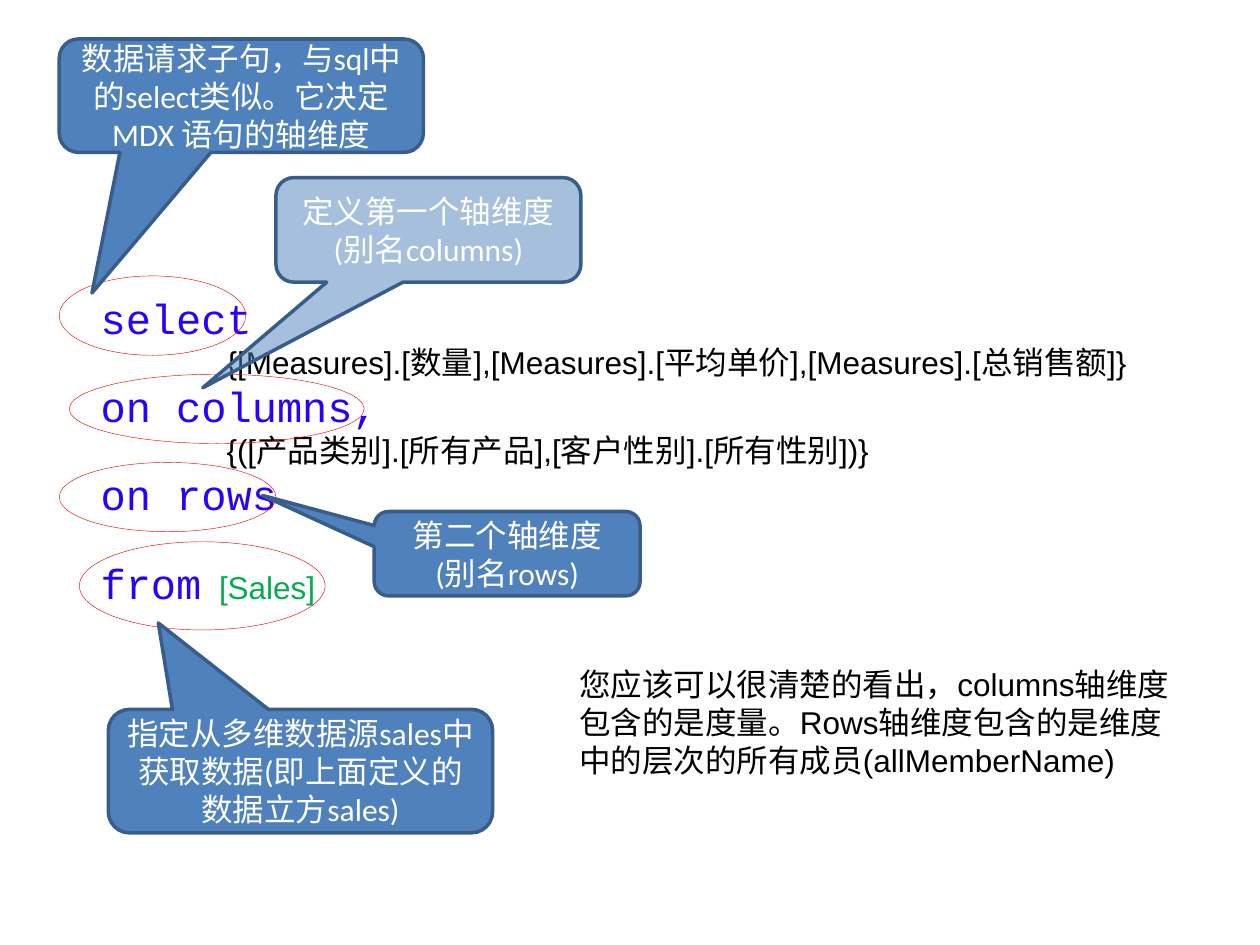
from dataclasses import dataclass

from lxml import etree
from pptx import Presentation
from pptx.dml.color import RGBColor
from pptx.enum import shapes as sh, text as tx
from pptx.oxml.ns import qn
from pptx.util import Inches, Pt

BLUE, EDGE, RED = "4F81BD", "385D8A", "FF0000"
CODE, GREEN, BLACK, WHITE = "2A00FF", "00B050", "000000", "FFFFFF"


@dataclass
class Box:
    x: float
    y: float
    w: float
    h: float

    def rect(self) -> list:
        return [Inches(v) for v in (self.x, self.y, self.w, self.h)]


@dataclass
class Callout:
    box: Box
    tip: tuple
    text: str
    alpha: int = 100


@dataclass
class Run:
    text: str
    color: str = BLACK
    name: str = "Arial"
    size: int = 18


@dataclass
class Line:
    runs: list
    tab: float = 0
    gap: int = 0


def paint(target, color: str) -> None:
    target.rgb = RGBColor.from_string(color)


def style(font, name: str, size: int, color: str) -> None:
    font.name, font.size = name, Pt(size)
    paint(font.color, color)


def add_tab(para, pos: float) -> None:
    tabs = etree.SubElement(para._p.get_or_add_pPr(), qn("a:tabLst"))
    etree.SubElement(tabs, qn("a:tab"), pos=str(Inches(pos)), algn="l")


def draw_ring(slide, box: Box) -> None:
    ring = slide.shapes.add_shape(sh.MSO_SHAPE.OVAL, *box.rect())
    ring.shadow.inherit = False
    ring.fill.background()
    paint(ring.line.color, RED)
    ring.line.width = Pt(0.25)


def draw_callout(slide, note: Callout) -> None:
    kind = sh.MSO_SHAPE.ROUNDED_RECTANGULAR_CALLOUT
    shape = slide.shapes.add_shape(kind, *note.box.rect())
    shape.shadow.inherit = False
    for i, value in enumerate((*note.tip, 0.17)):
        shape.adjustments[i] = value
    shape.fill.solid()
    paint(shape.fill.fore_color, BLUE)
    if note.alpha < 100:
        color = shape._element.spPr.find(qn("a:solidFill"))[0]
        etree.SubElement(color, qn("a:alpha"), val=str(note.alpha * 1000))
    paint(shape.line.color, EDGE)
    shape.line.width = Pt(2)
    frame = shape.text_frame
    frame.word_wrap = True
    frame.vertical_anchor = tx.MSO_ANCHOR.MIDDLE
    para = frame.paragraphs[0]
    para.text = note.text
    para.alignment = tx.PP_ALIGN.CENTER
    style(para.font, "Calibri", 18, WHITE)


def draw_text(slide, box: Box, lines: list, wrap: bool) -> None:
    frame = slide.shapes.add_textbox(*box.rect()).text_frame
    frame.word_wrap = wrap
    for i, line in enumerate(lines):
        para = frame.add_paragraph() if i else frame.paragraphs[0]
        if line.gap:
            para.space_before = Pt(line.gap)
        if line.tab:
            add_tab(para, line.tab)
        for part in line.runs:
            run = para.add_run()
            run.text = part.text
            if len(line.runs) > 1:
                style(run.font, part.name, part.size, part.color)
        if len(line.runs) == 1:
            only = line.runs[0]
            style(para.font, only.name, only.size, only.color)


def key(word: str) -> Run:
    return Run(word, CODE, "Courier New", 24)


QUERY = [
    Line([key("select")]),
    Line([Run("\t{[Measures].[数量],[Measures].[平均单价],[Measures].[总销售额]} "),
          key("on columns,")], tab=1),
    Line([Run("\t{([产品类别].[所有产品],[客户性别].[所有性别])}")], tab=1),
    Line([key("on rows")]),
    Line([key("from"), Run("\t[Sales]", GREEN)], tab=0.94, gap=22),
]
REMARK = [Line([Run(text)]) for text in (
    "您应该可以很清楚的看出，columns轴维度",
    "包含的是度量。Rows轴维度包含的是维度",
    "中的层次的所有成员(allMemberName)",
)]
RINGS = [
    Box(0.47, 2.19, 1.48, 0.63),
    Box(0.63, 4.3, 1.95, 0.7),
    Box(0.55, 2.97, 2.34, 0.55),
    Box(0.47, 3.67, 1.72, 0.55),
]
NOTES = [
    Callout(Box(0.47, 0.31, 2.89, 0.9), (-0.41, 1.74),
            "数据请求子句，与sql中的select类似。它决定 MDX 语句的轴维度"),
    Callout(Box(0.86, 5.63, 3.05, 0.98), (-0.37, -1.2),
            "指定从多维数据源sales中获取数据(即上面定义的数据立方sales)"),
    Callout(Box(2.19, 1.41, 2.42, 0.83), (-0.74, 1.51),
            "定义第一个轴维度(别名columns)", 50),
    Callout(Box(2.97, 4.06, 2.11, 0.67), (-0.92, -0.69),
            "第二个轴维度 (别名rows)"),
]


def main() -> None:
    deck = Presentation()
    deck.slide_width, deck.slide_height = Inches(10), Inches(7.5)
    slide = deck.slides.add_slide(deck.slide_layouts[6])

    # Query, with its keywords ringed
    draw_text(slide, Box(0.7, 2.27, 8.67, 2.6), QUERY, True)
    for ring in RINGS:
        draw_ring(slide, ring)

    # Explanations
    for note in NOTES:
        draw_callout(slide, note)
    draw_text(slide, Box(4.5, 5.23, 5, 1), REMARK, False)

    deck.save("out.pptx")


if __name__ == "__main__":
    main()
